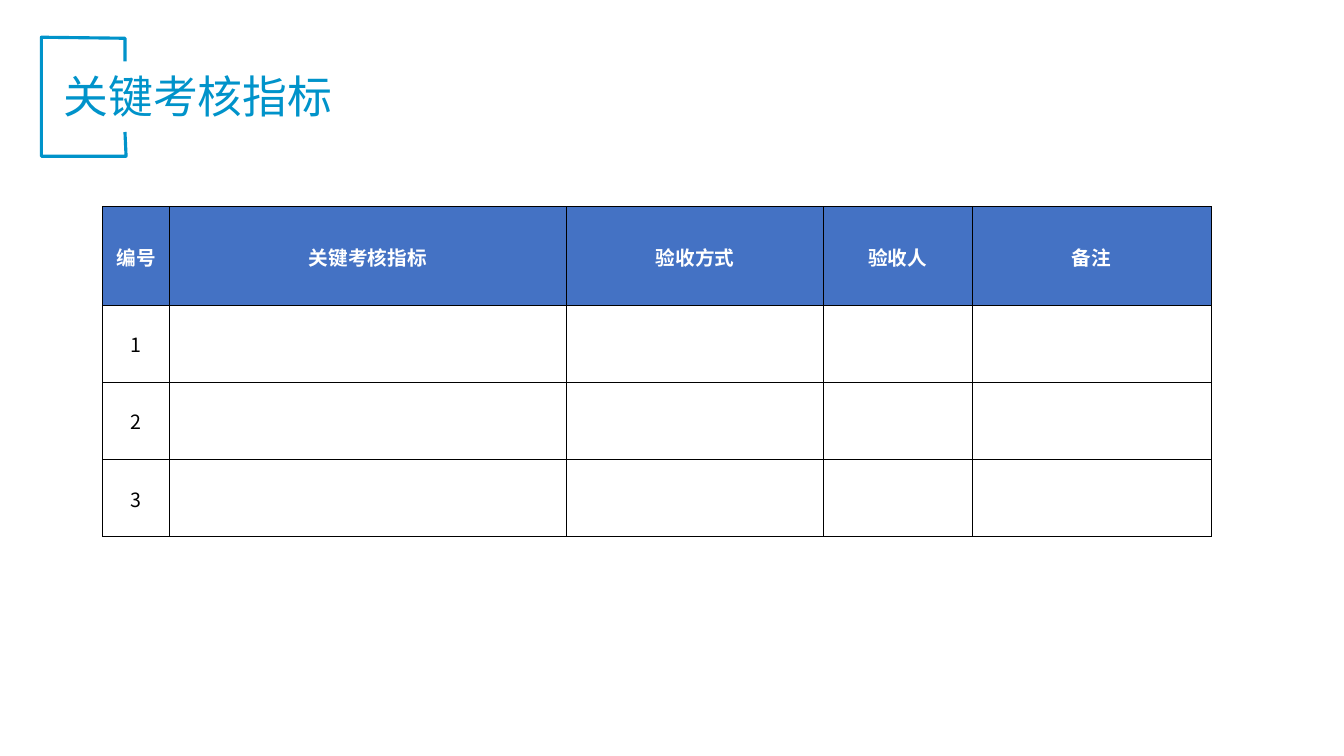
from dataclasses import dataclass

from lxml.etree import SubElement
from pptx import Presentation
from pptx.dml.color import RGBColor
from pptx.enum.text import MSO_ANCHOR, MSO_AUTO_SIZE, PP_ALIGN
from pptx.oxml.ns import qn
from pptx.util import Inches, Pt


@dataclass(frozen=True)
class Theme:
    font: str = "Noto Sans CJK SC"
    accent: RGBColor = RGBColor(0x00, 0x93, 0xCA)
    header: RGBColor = RGBColor(0x44, 0x72, 0xC4)
    white: RGBColor = RGBColor(0xFF, 0xFF, 0xFF)
    black: RGBColor = RGBColor(0x00, 0x00, 0x00)
    title_size: int = 32
    table_size: int = 14
    frame_line: float = 2.25
    rule: float = 0.5
    top_rule: float = 1


class SlideBuilder:
    def __init__(self, prs, theme):
        self.theme = theme
        self.slide = prs.slides.add_slide(prs.slide_layouts[6])
        self.width, self.height = prs.slide_width, prs.slide_height

    def x(self, percent):
        return round(self.width * percent / 100)

    def y(self, percent):
        return round(self.height * percent / 100)

    def style(self, p, size, color, bold=False):
        for r in p.runs:
            r.font.size = Pt(size)
            r.font.bold = bold
            r.font.color.rgb = color
            r.font.name = self.theme.font
            SubElement(r.font._element, qn("a:ea"), typeface=self.theme.font)

    def outline(self, points):
        start, *rest = [(self.x(px), self.y(py)) for px, py in points]
        builder = self.slide.shapes.build_freeform(*start)
        builder.add_line_segments(rest, close=False)
        sp = builder.convert_to_shape()
        sp.shadow.inherit = False
        sp.fill.background()
        sp.line.color.rgb = self.theme.accent
        sp.line.width = Pt(self.theme.frame_line)

    def title(self, text, left, top, width, height):
        sp = self.slide.shapes.add_textbox(
            self.x(left), self.y(top), self.x(width), self.y(height))
        tf = sp.text_frame
        tf.word_wrap = True
        tf.auto_size = MSO_AUTO_SIZE.SHAPE_TO_FIT_TEXT
        tf.vertical_anchor = MSO_ANCHOR.MIDDLE
        tf.text = text
        self.style(tf.paragraphs[0], self.theme.title_size, self.theme.accent)

    def borders(self, cell, top):
        tcPr = cell._tc.get_or_add_tcPr()
        widths = {"L": self.theme.rule, "R": self.theme.rule,
                  "T": top, "B": self.theme.rule}
        for i, (side, width) in enumerate(widths.items()):
            ln = SubElement(tcPr, qn(f"a:ln{side}"), w=str(Pt(width)))
            fill = SubElement(ln, qn("a:solidFill"))
            SubElement(fill, qn("a:srgbClr"), val=str(self.theme.black))
            tcPr.insert(i, ln)

    def cell(self, cell, text, is_header):
        theme = self.theme
        cell.vertical_anchor = MSO_ANCHOR.MIDDLE
        cell.margin_left = cell.margin_right = cell.margin_top = Inches(0.01)
        cell.margin_bottom = 0
        if is_header:
            cell.fill.solid()
            cell.fill.fore_color.rgb = theme.header
        else:
            cell.fill.background()
        self.borders(cell, theme.top_rule if is_header else theme.rule)
        if text:
            cell.text = text
            p = cell.text_frame.paragraphs[0]
            p.alignment = PP_ALIGN.CENTER
            color = theme.white if is_header else theme.black
            self.style(p, theme.table_size, color, is_header)

    def table(self, rows, left, top, widths, heights):
        table = self.slide.shapes.add_table(
            len(rows), len(widths), self.x(left), self.y(top),
            self.x(sum(widths)), self.y(sum(heights))).table
        table.horz_banding = False
        for column, width in zip(table.columns, widths):
            column.width = self.x(width)
        for i, (row, height) in enumerate(zip(rows, heights)):
            table.rows[i].height = self.y(height)
            for j, text in enumerate(row):
                self.cell(table.cell(i, j), text, i == 0)


def main():
    prs = Presentation()
    prs.slide_width, prs.slide_height = Inches(13.33), Inches(7.5)
    s = SlideBuilder(prs, Theme())

    s.outline([(9.3, 17.47), (9.38, 20.67), (3.08, 20.67),
               (3.08, 4.93), (9.3, 5.07), (9.3, 8.13)])
    s.title("关键考核指标", 3.98, 8.4, 73.14, 8.53)

    header = ["编号", "关键考核指标", "验收方式", "验收人", "备注"]
    entries = [[str(n)] + [""] * (len(header) - 1) for n in range(1, 4)]
    s.table([header] + entries, 7.65, 27.33,
            widths=[4.95, 29.56, 19.13, 11.03, 17.78],
            heights=[13.07] + [10.19] * len(entries))

    prs.save("out.pptx")


if __name__ == "__main__":
    main()
